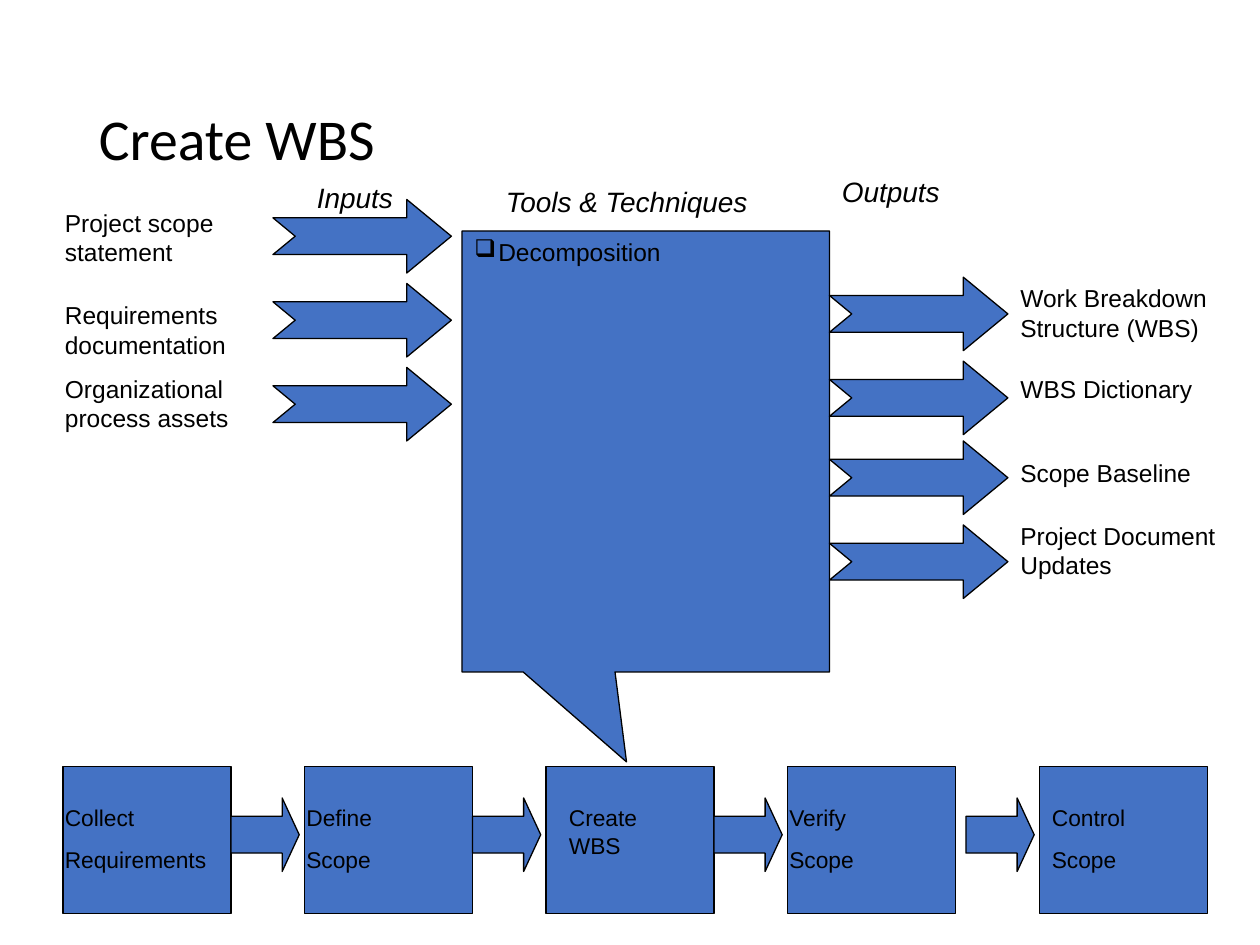
import pptx
import pptx.util
import pptx.dml.color
import pptx.enum.shapes
import pptx.enum.text
import pptx.oxml
import pptx.oxml.ns

THEME = {
    "fill": pptx.dml.color.RGBColor.from_string("4472C4"),
    "ink": pptx.dml.color.RGBColor.from_string("000000"),
    "title_font": "Calibri", "font": "Arial", "line": 0.75,
    "title": 33, "heading": 16, "label": 14, "step": 13,
}
SHAPE = pptx.enum.shapes.MSO_SHAPE
ANCHOR = pptx.enum.text.MSO_ANCHOR

prs = pptx.Presentation()
prs.slide_width = pptx.util.Inches(10)
prs.slide_height = pptx.util.Inches(7.5)
s = prs.slides.add_slide(prs.slide_layouts[6])
U = prs.slide_width // 120  # grid of 120 columns by 90 rows


def add_text(text, col, row, cols, rows, size=THEME["label"], font=THEME["font"],
             italic=False, anchor=ANCHOR.TOP, before=0.625, spacing=None, bullet=None):
    """Write one paragraph per line of text; before is a share of the type size."""
    tb = s.shapes.add_textbox(*(round(v * U) for v in (col, row, cols, rows)))
    tf = tb.text_frame
    tf.word_wrap = True
    tf.vertical_anchor = anchor
    for i, line in enumerate(text.split("\n")):
        p = tf.add_paragraph() if i else tf.paragraphs[0]
        p.space_before = pptx.util.Pt(round(size * before, 1))
        if spacing:
            p.line_spacing = spacing
        if bullet:
            pPr = p._p.get_or_add_pPr()
            indent = pptx.util.Inches(0.19)
            pPr.set("marL", str(indent))
            pPr.set("indent", str(-indent))
            pPr.append(pptx.oxml.parse_xml(
                f'<a:buChar {pptx.oxml.ns.nsdecls("a")} char="{bullet}"/>'))
        r = p.add_run()
        r.text = line
        r.font.name, r.font.size = font, pptx.util.Pt(size)
        r.font.italic = italic
        r.font.color.rgb = THEME["ink"]


def add_block(kind, col, row, cols, rows, adjustments=()):
    """Draw a filled, outlined preset, or a notched arrow when kind is None."""
    if kind is None:
        neck, top, bottom = 0.75 * cols, 0.25 * rows, 0.75 * rows
        points = [(neck, top), (neck, 0), (cols, rows / 2), (neck, rows),
                  (neck, bottom), (0, bottom), (cols / 8, rows / 2)]
        fb = s.shapes.build_freeform(0, round(top * U))
        fb.add_line_segments([(round(x * U), round(y * U)) for x, y in points])
        sp = fb.convert_to_shape(round(col * U), round(row * U))
    else:
        sp = s.shapes.add_shape(kind, *(round(v * U) for v in (col, row, cols, rows)))
    for i, value in enumerate(adjustments):
        sp.adjustments[i] = value
    sp.shadow.inherit = False
    sp.fill.solid()
    sp.fill.fore_color.rgb = THEME["fill"]
    sp.line.color.rgb = THEME["ink"]
    sp.line.width = pptx.util.Pt(THEME["line"])


# Title
add_text("Create WBS", 8.25, 4.75, 103.5, 17.5, size=THEME["title"],
         font=THEME["title_font"], anchor=ANCHOR.MIDDLE, before=0, spacing=0.9)

# Tools and techniques callout, pointing at the current step
add_block(SHAPE.RECTANGULAR_CALLOUT, 44, 22, 35, 42, (-0.052, 0.704))
add_text("Decomposition", 44, 22, 35, 4, bullet="❑")

# Inputs: arrow row, label row, label width
inputs = [
    ("Project scope statement", 19, 19.2, 23),
    ("Requirements documentation", 27, 28, 23),
    ("Organizational process assets", 35, 35, 22),
]
for text, arrow_row, label_row, width in inputs:
    add_block(None, 26, arrow_row, 17, 7)
    add_text(text, 5, label_row, width, 6.8)

# Outputs: arrow row, label row, label height
outputs = [
    ("Work Breakdown Structure (WBS)", 26.4, 26.4, 6.8),
    ("WBS Dictionary", 34.4, 35, 4),
    ("Scope Baseline", 42, 43, 4),
    ("Project Document Updates", 50, 49, 6.8),
]
for text, arrow_row, label_row, height in outputs:
    add_block(None, 79, arrow_row, 17, 7)
    add_text(text, 96, label_row, 24, height)

# Column headings
for text, col, row, width in [("Inputs", 29, 16.6, 19),
                              ("Tools & Techniques", 47, 17, 32),
                              ("Outputs", 79, 16, 19)]:
    add_text(text, col, row, width, 4.4, size=THEME["heading"], italic=True)

# Process chain: box column, text offset from the box, text width
steps = [
    ("Collect\nRequirements", 6, -1, 17),
    ("Define\nScope", 29, -1, 17),
    ("Create WBS", 52, 1, 14),
    ("Verify\nScope", 75, -1, 17),
    ("Control\nScope", 99, 0, 16),
]
for i, (text, col, offset, width) in enumerate(steps):
    if i:
        add_block(SHAPE.RIGHT_ARROW, col - 7, 76, 6.5, 7, (0.5, 0.25))
    add_block(SHAPE.RECTANGLE, col, 73, 16, 14)
    add_text(text, col + offset, 76, width, 7.8, size=THEME["step"])

prs.save("out.pptx")
